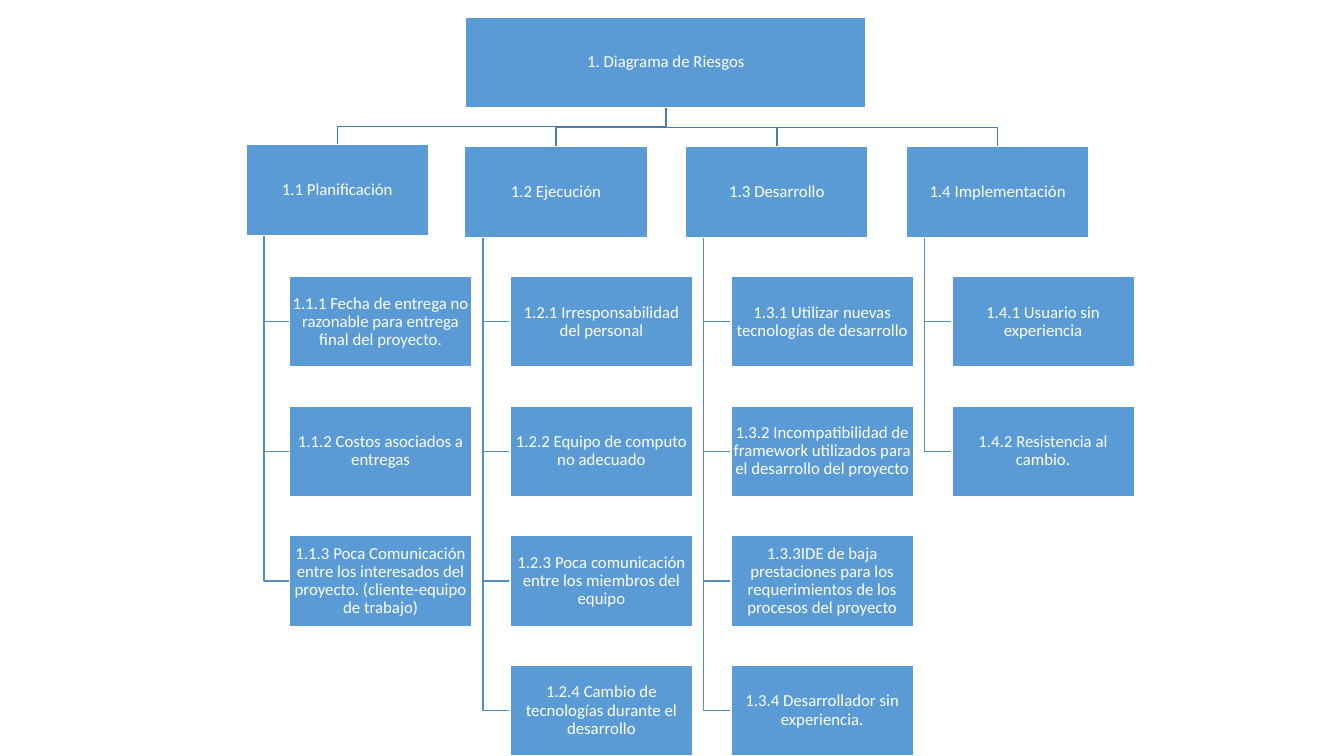
"""Builds a one-slide risk breakdown chart."""
from pptx import Presentation
from pptx.dml.color import RGBColor
from pptx.enum.shapes import MSO_SHAPE
from pptx.enum.text import MSO_ANCHOR, PP_ALIGN
from pptx.util import Inches, Pt

BOX_BLUE = RGBColor(0x5B, 0x9B, 0xD5)
TRUNK_BLUE = RGBColor(0x49, 0x7C, 0xAB)
STEM_BLUE = RGBColor(0x53, 0x8D, 0xC1)
WHITE = RGBColor(0xFF, 0xFF, 0xFF)

SLIDE_WIDTH, SLIDE_HEIGHT = 13.33, 7.5
BOX_WIDTH, BOX_HEIGHT = 1.81, 0.9
ROOT_LEFT, ROOT_WIDTH = 4.62, 3.97
FIRST_ROW, LAST_ROW = 0.17, SLIDE_HEIGHT - BOX_HEIGHT
ROW_PITCH = (LAST_ROW - FIRST_ROW) / 5
BRANCH_LEFT, RISK_LEFT, COLUMN_PITCH = 2.42, 2.87, 2.19
STEM_INDENT = 0.18
FIRST_BRANCH_NUDGE = 0.02

ROOT = "1. Diagrama de Riesgos"
BRANCHES = [
    ("1.1 Planificación", [
        "1.1.1 Fecha de entrega no razonable para entrega final del proyecto.",
        "1.1.2 Costos asociados a entregas",
        "1.1.3 Poca Comunicación entre los interesados del proyecto. (cliente-equipo de trabajo)",
    ]),
    ("1.2 Ejecución", [
        "1.2.1 Irresponsabilidad del personal",
        "1.2.2 Equipo de computo no adecuado",
        "1.2.3 Poca comunicación entre los miembros del equipo",
        "1.2.4 Cambio de tecnologías durante el desarrollo",
    ]),
    ("1.3 Desarrollo", [
        "1.3.1 Utilizar nuevas tecnologías de desarrollo",
        "1.3.2 Incompatibilidad de framework utilizados para el desarrollo del proyecto",
        "1.3.3IDE de baja prestaciones para los requerimientos de los procesos del proyecto",
        "1.3.4 Desarrollador sin experiencia.",
    ]),
    ("1.4 Implementación", [
        "1.4.1 Usuario sin experiencia",
        "1.4.2 Resistencia al cambio.",
    ]),
]


def row_top(row):
    """Return the top of a grid row in inches."""
    return FIRST_ROW + row * ROW_PITCH


def branch_corner(column):
    """Return the left and top of a branch box, the first one being slightly offset."""
    nudge = FIRST_BRANCH_NUDGE if column == 0 else 0
    return BRANCH_LEFT + column * COLUMN_PITCH + nudge, row_top(1) - nudge


def add_box(slide, label, left, top, width=BOX_WIDTH):
    """Add a blue box with a centred label."""
    box = slide.shapes.add_shape(MSO_SHAPE.RECTANGLE, Inches(left), Inches(top),
                                 Inches(width), Inches(BOX_HEIGHT))
    box.shadow.inherit = False
    box.fill.solid()
    box.fill.fore_color.rgb = BOX_BLUE
    box.line.color.rgb = WHITE
    box.line.width = Pt(1)
    frame = box.text_frame
    frame.text = label
    frame.word_wrap = True
    frame.vertical_anchor = MSO_ANCHOR.MIDDLE
    frame.margin_left = frame.margin_right = Inches(0.01)
    frame.margin_top = frame.margin_bottom = Inches(0.01)
    paragraph = frame.paragraphs[0]
    paragraph.alignment = PP_ALIGN.CENTER
    paragraph.line_spacing = 0.9
    font = paragraph.runs[0].font
    font.name = "Calibri"
    font.size = Pt(12)
    font.color.rgb = WHITE


def add_elbow(slide, points, color):
    """Add an open line with right-angled bends through the points."""
    start, *bends = [(Inches(x), Inches(y)) for x, y in points]
    builder = slide.shapes.build_freeform(*start)
    builder.add_line_segments(bends, close=False)
    elbow = builder.convert_to_shape()
    elbow.shadow.inherit = False
    elbow.fill.background()
    elbow.line.color.rgb = color
    elbow.line.width = Pt(1)


def add_branch_lines(slide, column, risk_count):
    """Link a branch to the root above and to its risks below."""
    left, top = branch_corner(column)
    root_x, root_bottom = ROOT_LEFT + ROOT_WIDTH / 2, row_top(0) + BOX_HEIGHT
    branch_x, bend_y = left + BOX_WIDTH / 2, (root_bottom + top) / 2
    add_elbow(slide, [(root_x, root_bottom), (root_x, bend_y),
                      (branch_x, bend_y), (branch_x, top)], TRUNK_BLUE)
    stem_x = left + STEM_INDENT
    for row in range(2, 2 + risk_count):
        risk_y = row_top(row) + BOX_HEIGHT / 2
        add_elbow(slide, [(stem_x, top + BOX_HEIGHT), (stem_x, risk_y),
                          (RISK_LEFT + column * COLUMN_PITCH, risk_y)], STEM_BLUE)


def add_branch_boxes(slide, column, branch, risks):
    """Add a branch box and the column of its risks."""
    add_box(slide, branch, *branch_corner(column))
    for row, risk in enumerate(risks, start=2):
        add_box(slide, risk, RISK_LEFT + column * COLUMN_PITCH, row_top(row))


def main():
    """Build and save the slide."""
    deck = Presentation()
    deck.slide_width, deck.slide_height = Inches(SLIDE_WIDTH), Inches(SLIDE_HEIGHT)
    slide = deck.slides.add_slide(deck.slide_layouts[6])
    for column, (_, risks) in enumerate(BRANCHES):
        add_branch_lines(slide, column, len(risks))
    add_box(slide, ROOT, ROOT_LEFT, row_top(0), ROOT_WIDTH)
    for column, (branch, risks) in enumerate(BRANCHES):
        add_branch_boxes(slide, column, branch, risks)
    deck.save("out.pptx")


if __name__ == "__main__":
    main()
